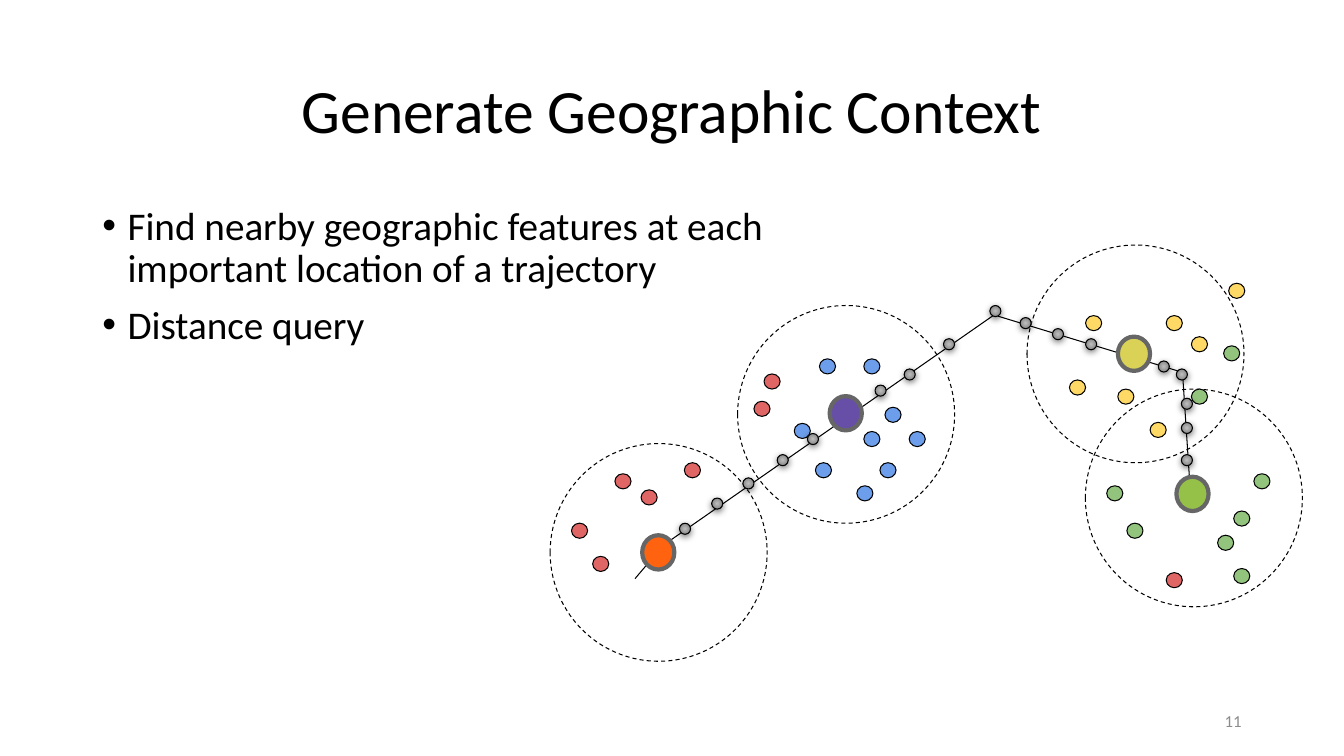
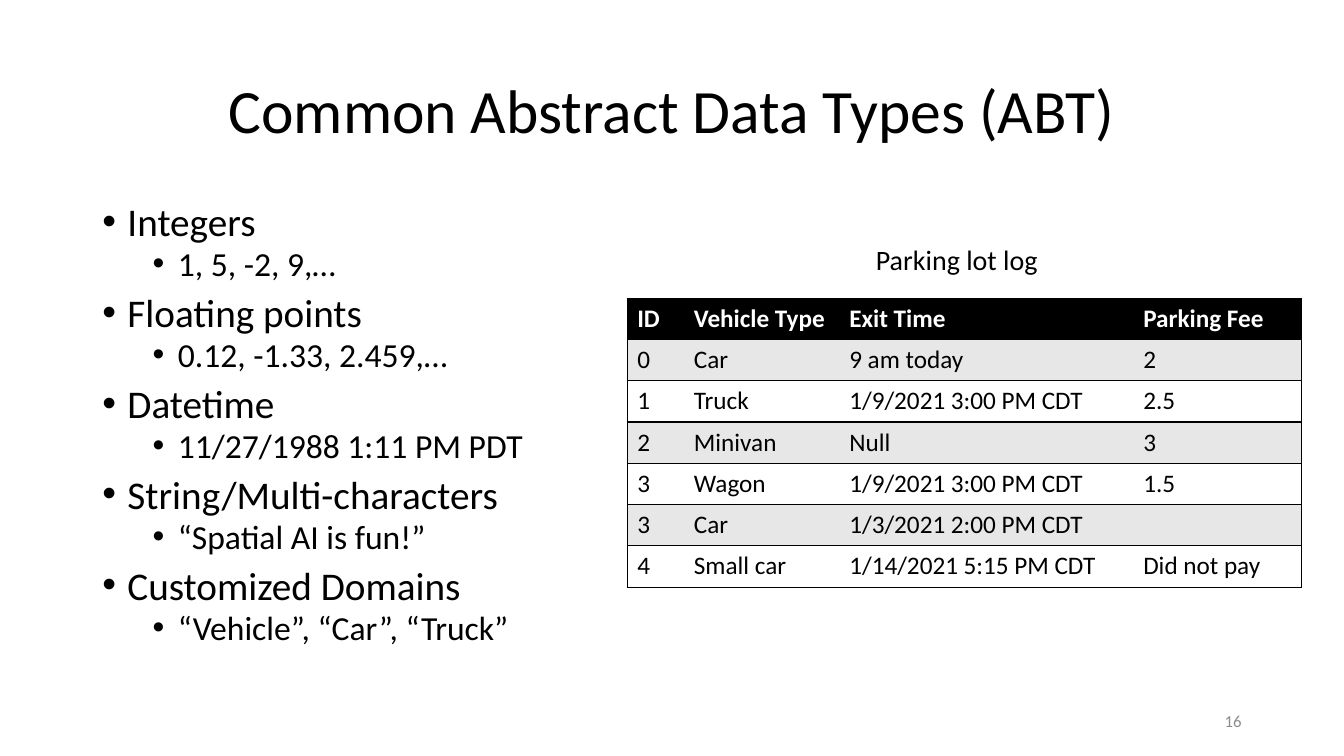
from lxml import etree
from pptx import Presentation
from pptx.dml.color import RGBColor
from pptx.enum.dml import MSO_LINE
from pptx.enum.shapes import MSO_CONNECTOR, MSO_SHAPE
from pptx.enum.text import MSO_ANCHOR, PP_ALIGN
from pptx.oxml.ns import qn
from pptx.util import Pt

FONT = "Calibri"
COLORS = {
    "black": "000000", "white": "FFFFFF", "band": "E7E7E7", "number": "8C8C8C",
    "ring": "666666", "gps_in": "BFBFBF", "gps_out": "737373",
    "red": "E06666", "blue": "6D9EEB", "yellow": "FFD966", "green": "93C47D",
    "orange": "FF6310", "purple": "674EA7", "olive": "D9D256", "lime": "95C148",
}

# Shared boxes: left, top, width, height
TITLE_BOX = (66, 29, 828, 104.4)
NUMBER_BOX = (678, 500.4, 216, 28.8)
BODY_TOP, BODY_HEIGHT = 144, 343

# Bullet levels: text size, left margin, space before
LEVELS = [(28, 18, 10), (24, 54, 5)]

# Map parts: centres in points from the corner of the map box
RANGES = [(459.8, 180.7), (418.1, 77.8), (211.4, 121), (77.5, 219.6)]
PATH = [
    (78.6, 216, 317.6, 49.6), (318.4, 50.4, 450.8, 90.7),
    (451.6, 90, 458, 187.2), (69.2, 228.2, 60.6, 238.3),
]
STOPS = {
    "orange": (77.2, 219.6), "purple": (211.1, 120.2),
    "olive": (417, 77.7), "lime": (458.8, 177.8),
}
FEATURES = {
    "red": [(52, 168.8), (36.1, 227.8), (70.7, 180.3), (101.6, 160.9),
            (158.5, 97.5), (151.3, 117), (445.8, 239.4), (21, 204.1)],
    "blue": [(262.2, 138.6), (241.3, 160.9), (244.9, 121.3), (229.8, 138.6),
             (229.8, 86.7), (195.2, 160.9), (224.8, 177.4), (198.1, 86.7),
             (180.1, 132.8)],
    "yellow": [(376.7, 101.8), (388.2, 55.8), (490.4, 32.7), (434.3, 132.1),
               (463.8, 70.9), (445.8, 55.8), (411.2, 108.3)],
    "green": [(463.8, 108.3), (486.8, 77.4), (403.3, 177.4), (417.7, 204.1),
              (482.5, 212.7), (508.4, 168.8), (494, 195.4), (494, 236.5)],
}
GPS = [
    (96.3, 202.7), (119.3, 184.7), (141.6, 170.3), (166.1, 153.7),
    (187.7, 138.6), (236, 104), (256.8, 92.5), (284.9, 70.9), (318, 47.2),
    (339.6, 55.8), (362.7, 63.7), (386.4, 70.9), (438.3, 86.8),
    (451.2, 92.5), (454.8, 113.4), (454.8, 130.7), (454.8, 153.7),
]

PARKING_LOG = [
    ("ID", "Vehicle Type", "Exit Time", "Parking Fee"),
    ("0", "Car", "9 am today", "2"),
    ("1", "Truck", "1/9/2021 3:00 PM CDT", "2.5"),
    ("2", "Minivan", "Null", "3"),
    ("3", "Wagon", "1/9/2021 3:00 PM CDT", "1.5"),
    ("3", "Car", "1/3/2021 2:00 PM CDT", ""),
    ("4", "Small car", "1/14/2021 5:15 PM CDT", "Did not pay"),
]
COL_WIDTHS = [40.5, 111, 210, 120.5]
ROW_HEIGHT = 29.5


def rgb(name):
    return RGBColor.from_string(COLORS[name])


def sub(parent, tag, **attrs):
    return etree.SubElement(parent, qn(tag), {k: str(v) for k, v in attrs.items()})


def add_run(p, text, size, color="black", bold=False):
    r = p.add_run()
    r.text = text
    for key, value in {"name": FONT, "size": Pt(size), "bold": bold}.items():
        setattr(r.font, key, value)
    r.font.color.rgb = rgb(color)


def add_text(s, box, text, size, color="black", align=PP_ALIGN.LEFT,
             anchor=MSO_ANCHOR.TOP, wrap=True):
    tf = s.shapes.add_textbox(*map(Pt, box)).text_frame
    tf.word_wrap, tf.vertical_anchor = wrap, anchor
    p = tf.paragraphs[0]
    p.alignment = align
    add_run(p, text, size, color)


# Slide frame: title and page number
def add_slide(prs, title, number):
    s = prs.slides.add_slide(prs.slide_layouts[5])
    ph = s.shapes.title
    for key, value in zip(("left", "top", "width", "height"), TITLE_BOX):
        setattr(ph, key, Pt(value))
    tf = ph.text_frame
    tf.word_wrap, tf.vertical_anchor = True, MSO_ANCHOR.MIDDLE
    p = tf.paragraphs[0]
    p.alignment, p.line_spacing = PP_ALIGN.CENTER, 0.9
    add_run(p, title, 44)
    add_text(s, NUMBER_BOX, str(number), 12, "number", PP_ALIGN.RIGHT, MSO_ANCHOR.MIDDLE)
    return s


# Bulleted body: items are (level, text)
def add_bullets(s, width, items, spacing):
    box = (TITLE_BOX[0], BODY_TOP, width, BODY_HEIGHT)
    tf = s.shapes.add_textbox(*map(Pt, box)).text_frame
    tf.word_wrap = True
    for i, (level, text) in enumerate(items):
        size, margin, before = LEVELS[level]
        p = tf.paragraphs[0] if i == 0 else tf.add_paragraph()
        p.level, p.line_spacing = level, spacing
        p.space_before = Pt(before if i else 0)
        pPr = p._p.get_or_add_pPr()
        pPr.set("marL", str(Pt(margin)))
        pPr.set("indent", str(-Pt(18)))
        sub(pPr, "a:buFont", typeface="Arial")
        sub(pPr, "a:buChar", char="•")
        add_run(p, text, size)


def add_oval(grp, x, y, size, fill=None, line="black", weight=0.75):
    w, h = size
    sp = grp.shapes.add_shape(MSO_SHAPE.OVAL, Pt(x - w / 2), Pt(y - h / 2), Pt(w), Pt(h))
    sp.shadow.inherit = False
    if fill:
        sp.fill.solid()
        sp.fill.fore_color.rgb = rgb(fill)
    else:
        sp.fill.background()
    sp.line.color.rgb = rgb(line)
    sp.line.width = Pt(weight)
    return sp


def shade_gps(sp):
    # Radial grey gradient
    sp.fill.gradient()
    for stop, color, pos in zip(sp.fill.gradient_stops, ("gps_in", "gps_out"), (0, 1)):
        stop.color.rgb = rgb(color)
        stop.position = pos
    grad = sp._element.spPr.find(qn("a:gradFill"))
    grad.remove(grad.find(qn("a:lin")))
    radial = sub(grad, "a:path", path="circle")
    sub(radial, "a:fillToRect", l=50000, t=50000, r=50000, b=50000)
    # Soft shadow below
    effects = sp._element.spPr.find(qn("a:effectLst"))
    shadow = sub(effects, "a:outerShdw", blurRad=Pt(4.5), dist=Pt(1.5),
                 dir=5400000, rotWithShape=0)
    sub(sub(shadow, "a:srgbClr", val=COLORS["black"]), "a:alpha", val=50000)


# Trajectory map
def add_map(s, left, top):
    grp = s.shapes.add_group_shape()
    for x, y in RANGES:
        sp = add_oval(grp, left + x, top + y, (155, 155.5))
        sp.line.dash_style = MSO_LINE.DASH
    for x1, y1, x2, y2 in PATH:
        ends = (left + x1, top + y1, left + x2, top + y2)
        cxn = grp.shapes.add_connector(MSO_CONNECTOR.STRAIGHT, *map(Pt, ends))
        cxn.line.color.rgb = rgb("black")
        cxn.line.width = Pt(0.75)
        sub(cxn._element.spPr, "a:effectLst")
    for color, (x, y) in STOPS.items():
        add_oval(grp, left + x, top + y, (23, 24.5), color, "ring", 3)
    for color, centres in FEATURES.items():
        for x, y in centres:
            add_oval(grp, left + x, top + y, (11.5, 10.8), color)
    for x, y in GPS:
        shade_gps(add_oval(grp, left + x, top + y, (7.9, 7.9), "gps_in"))


def set_borders(cell, sides):
    tcPr = cell._tc.get_or_add_tcPr()
    for side in "LRTB":
        ln = sub(tcPr, f"a:ln{side}", w=Pt(1))
        if side in sides:
            sub(sub(ln, "a:solidFill"), "a:srgbClr", val=COLORS["black"])
        else:
            sub(ln, "a:noFill")


# Captioned log table
def add_log(s, left, top):
    width, height = sum(COL_WIDTHS), ROW_HEIGHT * len(PARKING_LOG)
    box = map(Pt, (left, top, width, height))
    table = s.shapes.add_table(len(PARKING_LOG), len(COL_WIDTHS), *box).table
    for col, w in zip(table.columns, COL_WIDTHS):
        col.width = Pt(w)
    last = len(COL_WIDTHS) - 1
    for i, row in enumerate(PARKING_LOG):
        table.rows[i].height = Pt(ROW_HEIGHT)
        fill = "black" if i == 0 else "band" if i % 2 else "white"
        for j, text in enumerate(row):
            cell = table.cell(i, j)
            set_borders(cell, "TB" + ("L" if j == 0 else "R" if j == last else ""))
            cell.fill.solid()
            cell.fill.fore_color.rgb = rgb(fill)
            if text:
                add_run(cell.text_frame.paragraphs[0], text, 18,
                        "white" if i == 0 else "black", i == 0)
    add_text(s, (left + 170.5, top - 43, 131, 31.5), "Parking lot log", 20, wrap=False)


def context_slide(prs):
    s = add_slide(prs, "Generate Geographic Context", 11)
    add_bullets(s, 511, [
        (0, "Find nearby geographic features at each important location of a trajectory"),
        (0, "Distance query"),
    ], 0.9)
    add_map(s, 393, 175)


def types_slide(prs):
    s = add_slide(prs, "Common Abstract Data Types (ABT)", 16)
    add_bullets(s, TITLE_BOX[2], [
        (0, "Integers"), (1, "1, 5, -2, 9,…"),
        (0, "Floating points"), (1, "0.12, -1.33, 2.459,…"),
        (0, "Datetime"), (1, "11/27/1988 1:11 PM PDT"),
        (0, "String/Multi-characters"), (1, "“Spatial AI is fun!”"),
        (0, "Customized Domains"), (1, "“Vehicle”, “Car”, “Truck”"),
    ], 0.8)
    add_log(s, 448, 213)


def main():
    prs = Presentation()
    prs.slide_width, prs.slide_height = Pt(960), Pt(540)
    context_slide(prs)
    types_slide(prs)
    prs.save("out.pptx")


if __name__ == "__main__":
    main()
